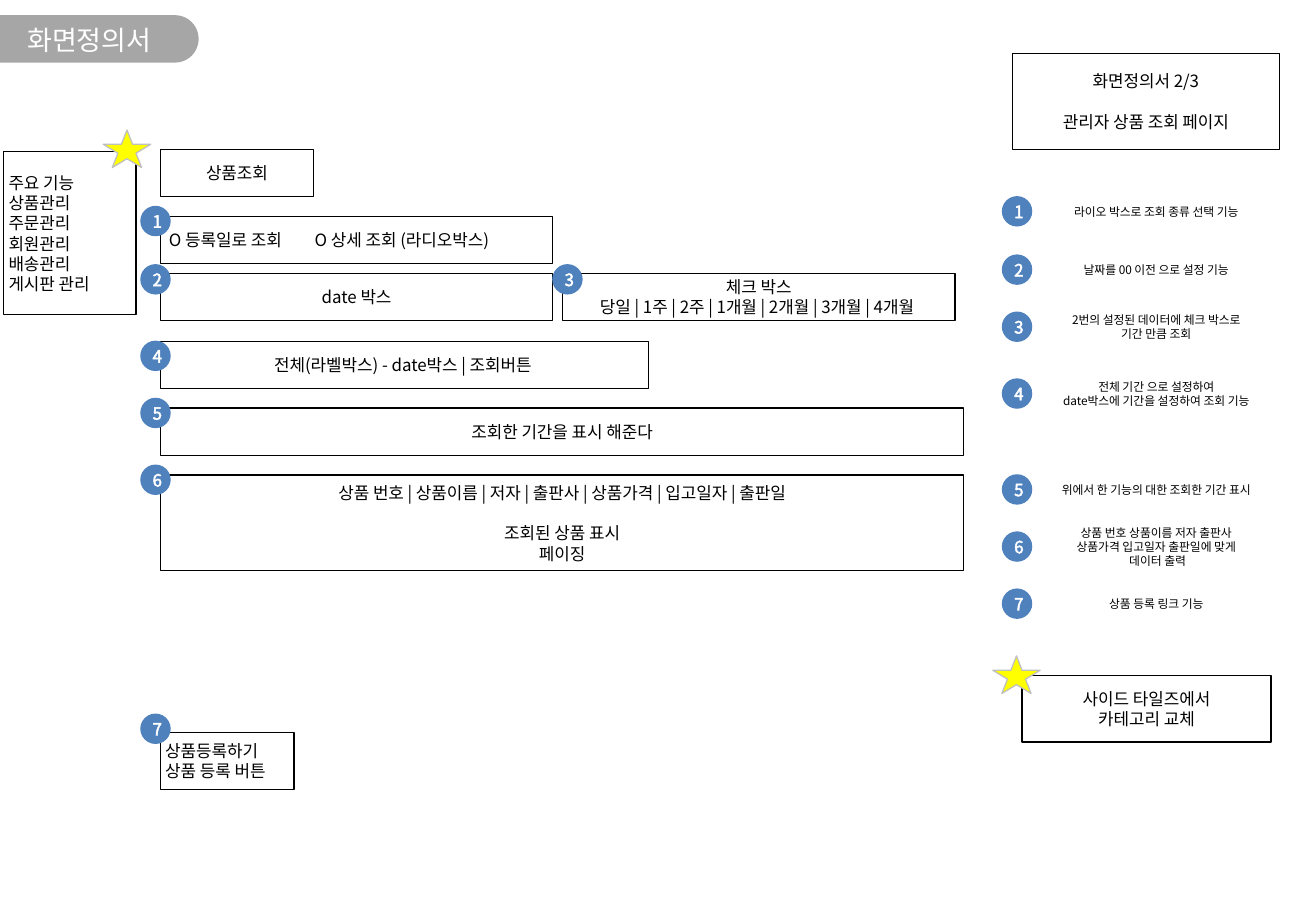
from dataclasses import dataclass

import pptx
import pptx.dml.color
import pptx.enum.shapes
import pptx.enum.text
import pptx.oxml
import pptx.oxml.ns
import pptx.presentation
import pptx.shapes.autoshape
import pptx.slide
import pptx.text.text
import pptx.util

RGBColor = pptx.dml.color.RGBColor
MSO_SHAPE = pptx.enum.shapes.MSO_SHAPE
PP_ALIGN = pptx.enum.text.PP_ALIGN

PX = 9144  # 100 px to the inch
FONT = "Noto Sans CJK KR"
BLACK = RGBColor(0, 0, 0)
WHITE = RGBColor(255, 255, 255)
GRAY = RGBColor(0xA6, 0xA6, 0xA6)
LIGHT_GRAY = RGBColor(0xBF, 0xBF, 0xBF)
BLUE = RGBColor(0x4F, 0x81, 0xBD)
YELLOW = RGBColor(0xFF, 0xFF, 0)
BADGE_SIZE = 24
LEGEND_BADGE_X = 825
NS = pptx.oxml.ns.nsdecls("a")
DIGIT_OUTLINE = f'<a:ln {NS} w="9525"><a:solidFill><a:srgbClr val="{WHITE}"/></a:solidFill></a:ln>'
RADIO_TABS = f'<a:tabLst {NS}><a:tab pos="{123 * PX}" algn="l"/></a:tabLst>'


@dataclass(frozen=True)
class Box:
    x: int
    y: int
    w: int
    h: int
    lines: tuple[str, ...]
    align: PP_ALIGN = PP_ALIGN.CENTER
    heading_gap: int = 0
    fill: RGBColor | None = None


@dataclass(frozen=True)
class Badge:
    number: int
    x: int
    y: int


@dataclass(frozen=True)
class LegendEntry:
    badge_y: int
    lines: tuple[str, ...]


BOXES = (
    Box(833, 44, 220, 79, ("화면정의서 2/3", "관리자 상품 조회 페이지"), heading_gap=12),
    Box(132, 123, 126, 39, ("상품조회",)),
    Box(132, 178, 323, 39, (" O 등록일로 조회\tO 상세 조회 (라디오박스)",), PP_ALIGN.LEFT),
    Box(132, 225, 323, 39, ("date 박스",)),
    Box(463, 225, 323, 39, ("체크 박스", "당일 | 1주 | 2주 | 1개월 | 2개월 | 3개월 | 4개월 ")),
    Box(132, 281, 402, 39, ("전체(라벨박스) - date박스 | 조회버튼 ",)),
    Box(132, 336, 661, 39, ("조회한 기간을 표시 해준다",)),
    Box(132, 391, 661, 79,
        ("상품 번호 | 상품이름 | 저자 | 출판사 | 상품가격 | 입고일자 | 출판일",
         "조회된 상품 표시", "페이징"), heading_gap=12),
    Box(132, 603, 110, 47, ("상품등록하기", "상품 등록 버튼"), PP_ALIGN.LEFT),
    Box(3, 125, 109, 134,
        ("주요 기능", "상품관리", "주문관리", "회원관리", "배송관리", "게시판 관리"),
        PP_ALIGN.LEFT),
    Box(841, 556, 205, 55, ("사이드 타일즈에서", " 카테고리 교체 "), fill=WHITE),
)
BADGES = (
    Badge(1, 116, 170), Badge(2, 116, 218), Badge(3, 455, 218), Badge(4, 116, 281),
    Badge(5, 116, 328), Badge(6, 116, 383), Badge(7, 116, 588),
)
LEGEND = (
    LegendEntry(162, ("라이오 박스로 조회 종류 선택 기능",)),
    LegendEntry(210, ("날짜를 00 이전 으로 설정 기능",)),
    LegendEntry(257, ("2번의 설정된 데이터에 체크 박스로", "기간 만큼 조회")),
    LegendEntry(312, ("전체 기간 으로 설정하여", "date박스에 기간을 설정하여 조회 기능")),
    LegendEntry(391, ("위에서 한 기능의 대한 조회한 기간 표시",)),
    LegendEntry(438, ("상품 번호 상품이름 저자 출판사", "상품가격 입고일자 출판일에 맞게",
                      " 데이터 출력")),
    LegendEntry(485, ("상품 등록 링크 기능",)),
)
STARS = ((817, 540), (85, 107))


def px(*lengths: int) -> list[pptx.util.Emu]:
    return [pptx.util.Emu(n * PX) for n in lengths]


def write_lines(
    tf: pptx.text.text.TextFrame,
    lines: tuple[str, ...],
    size: int = 10,
    color: RGBColor = BLACK,
    align: PP_ALIGN = PP_ALIGN.CENTER,
) -> None:
    """Fill the frame with one paragraph a line, without wrapping."""
    tf.word_wrap = False
    tf.vertical_anchor = pptx.enum.text.MSO_ANCHOR.MIDDLE
    tf.margin_left, tf.margin_top, tf.margin_right, tf.margin_bottom = px(4, 4, 4, 4)
    for i, line in enumerate(lines):
        p = tf.add_paragraph() if i else tf.paragraphs[0]
        p.alignment = align
        p.add_run().text = line
        p.font.size = pptx.util.Pt(size)
        p.font.color.rgb = color
        p.font.name = FONT
        font_props = p._p.pPr.find(pptx.oxml.ns.qn("a:defRPr"))
        font_props.append(pptx.oxml.parse_xml(f'<a:ea {NS} typeface="{FONT}"/>'))


def add_shape(
    slide: pptx.slide.Slide,
    kind: MSO_SHAPE,
    x: int,
    y: int,
    w: int,
    h: int,
    fill: RGBColor | None,
    line: RGBColor | None,
) -> pptx.shapes.autoshape.Shape:
    sp = slide.shapes.add_shape(kind, *px(x, y, w, h))
    sp.shadow.inherit = False
    if fill is None:
        sp.fill.background()
    else:
        sp.fill.solid()
        sp.fill.fore_color.rgb = fill
    if line is None:
        sp.line.fill.background()
    else:
        sp.line.color.rgb = line
        sp.line.width = pptx.util.Pt(0.75)
    return sp


def add_title(slide: pptx.slide.Slide) -> None:
    tab = add_shape(slide, MSO_SHAPE.ROUND_2_SAME_RECTANGLE, 62, -50, 39, 164, GRAY, None)
    tab.rotation = 270
    tab.adjustments[0] = 0
    tab.adjustments[1] = 0.5
    sp = slide.shapes.add_textbox(*px(-1, 13, 149, 39))
    write_lines(sp.text_frame, ("화면정의서",), 16, WHITE)


def add_box(slide: pptx.slide.Slide, box: Box) -> None:
    sp = add_shape(slide, MSO_SHAPE.RECTANGLE, box.x, box.y, box.w, box.h, box.fill, BLACK)
    write_lines(sp.text_frame, box.lines, align=box.align)
    p = sp.text_frame.paragraphs[0]
    if box.heading_gap:
        p.space_after = pptx.util.Pt(box.heading_gap)
    if "\t" in box.lines[0]:
        p._p.pPr.insert(0, pptx.oxml.parse_xml(RADIO_TABS))


def add_badge(slide: pptx.slide.Slide, badge: Badge) -> None:
    sp = add_shape(slide, MSO_SHAPE.OVAL, badge.x, badge.y, BADGE_SIZE, BADGE_SIZE, BLUE, BLUE)
    write_lines(sp.text_frame, (f" {badge.number}",), color=WHITE)
    r = sp.text_frame.paragraphs[0].runs[0]
    r._r.get_or_add_rPr().insert(0, pptx.oxml.parse_xml(DIGIT_OUTLINE))


def add_legend_entry(slide: pptx.slide.Slide, number: int, entry: LegendEntry) -> None:
    sp = slide.shapes.add_textbox(*px(857, entry.badge_y - 8, 189, 40))
    write_lines(sp.text_frame, entry.lines, 7)
    add_badge(slide, Badge(number, LEGEND_BADGE_X, entry.badge_y))


def main() -> None:
    prs = pptx.Presentation()
    prs.slide_width, prs.slide_height = px(1083, 750)
    slide = prs.slides.add_slide(prs.slide_layouts[6])
    add_title(slide)
    for number, entry in enumerate(LEGEND, 1):
        add_legend_entry(slide, number, entry)
    for box in BOXES:
        add_box(slide, box)
    for badge in BADGES:
        add_badge(slide, badge)
    for x, y in STARS:
        add_shape(slide, MSO_SHAPE.STAR_5_POINT, x, y, 39, 31, YELLOW, LIGHT_GRAY)
    prs.save("out.pptx")


if __name__ == "__main__":
    main()
